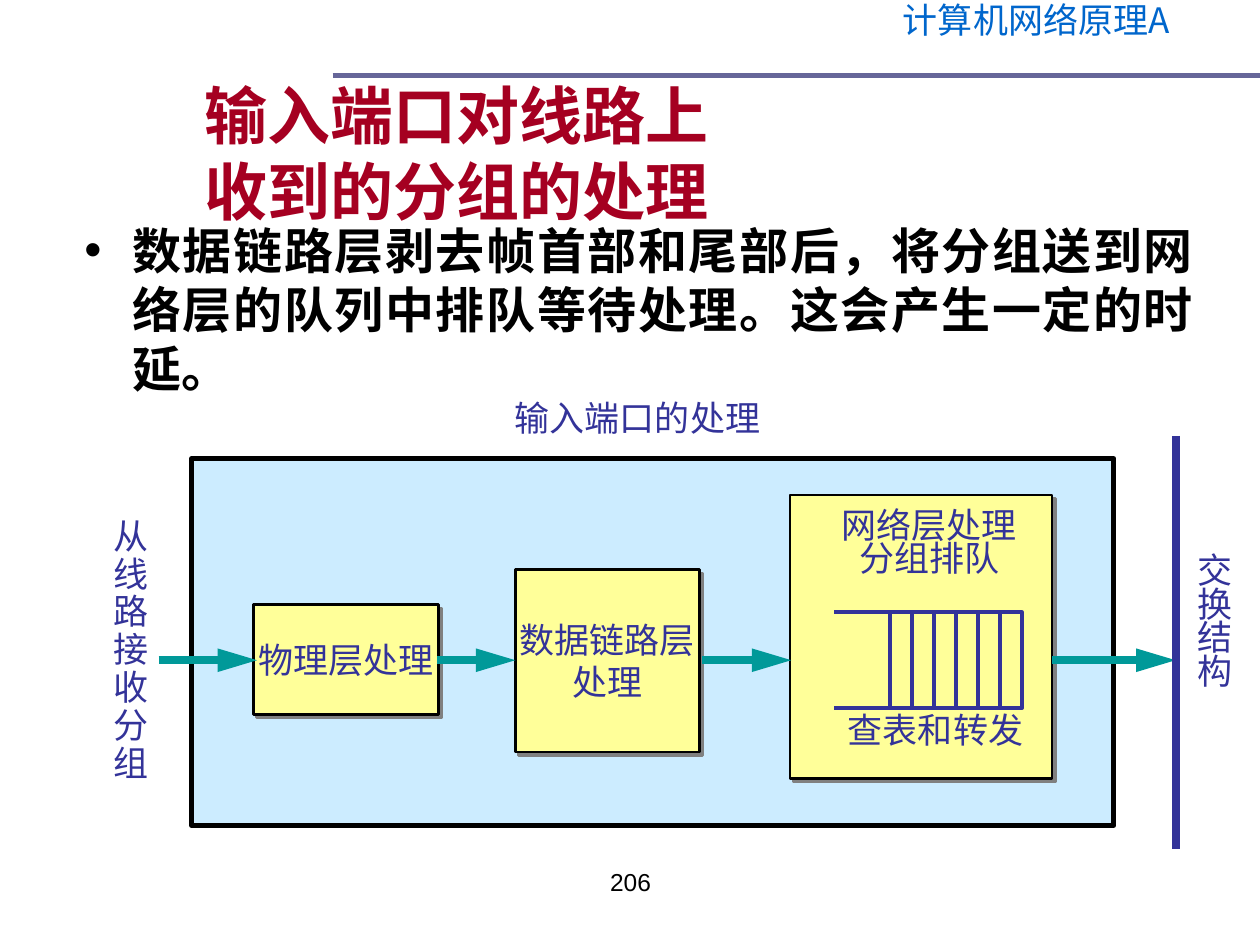
from dataclasses import dataclass

from pptx import Presentation, util as u
from pptx.dml.color import RGBColor
from pptx.enum import shapes, text
from pptx.oxml import parse_xml
from pptx.oxml.ns import nsdecls, qn

ALIGN = text.PP_ALIGN
ANCHOR = text.MSO_ANCHOR


@dataclass(frozen=True)
class Theme:
    font: str = "Arial"
    header_font: str = "Noto Sans CJK SC"
    header: str = "0066CC"
    rule: str = "666699"
    title: str = "A50021"
    ink: str = "000000"
    label: str = "333399"
    arrow: str = "009999"
    panel: str = "CCECFF"
    box: str = "FFFF99"
    shadow: str = "808080"
    title_size: int = 36
    body_size: int = 28
    label_size: int = 20
    number_size: int = 14


T = Theme()
AXIS = 5.24  # height at which packets flow through the port


def rgb(value):
    return RGBColor.from_string(value)


def inches(*values):
    return [u.Inches(v) for v in values]


def format_text(tf, size, color, align, spacing=None, bold=False, font=T.font):
    for p in tf.paragraphs:
        p.alignment = align
        p.space_before = u.Pt(0)
        if spacing:
            p.line_spacing = spacing
        for r in p.runs:
            r.font.name, r.font.size, r.font.bold = font, u.Pt(size), bold
            r.font.color.rgb = rgb(color)


def add_label(s, at, words, size=T.label_size, color=T.label,
              align=ALIGN.CENTER, spacing=0.8, font=T.font):
    tf = s.shapes.add_textbox(*inches(*at)).text_frame
    tf.word_wrap = False
    tf.text = words
    format_text(tf, size, color, align, spacing, font=font)


def add_line(s, start, end, color, width, arrow=False):
    cx = s.shapes.add_connector(
        shapes.MSO_CONNECTOR.STRAIGHT, *inches(*start, *end))
    cx.line.color.rgb = rgb(color)
    cx.line.width = u.Pt(width)
    if arrow:
        cx.line._get_or_add_ln().append(parse_xml(
            f'<a:tailEnd {nsdecls("a")} type="triangle" w="med" len="lg"/>'))
    cx._element.spPr.append(parse_xml(f'<a:effectLst {nsdecls("a")}/>'))


def add_box(s, at, fill, width, words="", shadow=True):
    sp = s.shapes.add_shape(shapes.MSO_SHAPE.RECTANGLE, *inches(*at))
    sp.shadow.inherit = False
    sp.fill.solid()
    sp.fill.fore_color.rgb = rgb(fill)
    sp.line.color.rgb = rgb(T.ink)
    sp.line.width = u.Pt(width)
    if shadow:
        sp._element.spPr.find(qn("a:effectLst")).append(parse_xml(
            f'<a:outerShdw {nsdecls("a")} blurRad="0" dist="{u.Pt(2.8)}" '
            f'dir="2700000" algn="ctr" rotWithShape="0">'
            f'<a:srgbClr val="{T.shadow}"/></a:outerShdw>'))
    if words:
        tf = sp.text_frame
        tf.word_wrap = False
        tf.vertical_anchor = ANCHOR.MIDDLE
        tf.text = words
        format_text(tf, T.label_size, T.label, ALIGN.CENTER)


def fill_placeholder(ph, at, words, size, color, align, anchor):
    ph.left, ph.top, ph.width, ph.height = inches(*at)
    tf = ph.text_frame
    tf.auto_size = text.MSO_AUTO_SIZE.NONE
    tf.word_wrap = True
    tf.vertical_anchor = anchor
    tf.text = words
    format_text(tf, size, color, align, bold=True)
    return tf


def add_bullet(p, indent):
    pPr = p._p.get_or_add_pPr()
    pPr.set("marL", str(u.Inches(indent)))
    pPr.set("indent", str(-u.Inches(indent)))
    pPr.append(parse_xml(f'<a:buFont {nsdecls("a")} typeface="{T.font}"/>'))
    pPr.append(parse_xml(f'<a:buChar {nsdecls("a")} char="•"/>'))


def add_queue(s, left, top, right, bottom, slots=6, gap=0.175):
    # Frame open on the left, where packets enter
    fb = s.shapes.build_freeform(*inches(left, top))
    fb.add_line_segments(
        [inches(right, top), inches(right, bottom), inches(left, bottom)],
        close=False)
    sp = fb.convert_to_shape()
    sp.shadow.inherit = False
    sp.fill.solid()
    sp.fill.fore_color.rgb = rgb(T.box)
    sp.line.color.rgb = rgb(T.label)
    sp.line.width = u.Pt(2.25)
    # Dividers between queued packets
    for i in range(1, slots + 1):
        x = right - i * gap
        add_line(s, (x, top), (x, bottom), T.label, 2.25)


def main():
    prs = Presentation()
    prs.slide_width, prs.slide_height = inches(10, 7.5)
    s = prs.slides.add_slide(prs.slide_layouts[1])

    # Header, title, body and page number
    add_label(s, (6.73, 0, 2.99, 0.44), "计算机网络原理A",
              color=T.header, font=T.header_font)
    add_line(s, (2.64, 0.6), (10, 0.6), T.rule, 3)
    fill_placeholder(s.shapes.title, (1.52, 0.68, 7.5, 1.18),
                     "输入端口对线路上\v收到的分组的处理",
                     T.title_size, T.title, ALIGN.LEFT, ANCHOR.BOTTOM)
    body = fill_placeholder(
        s.placeholders[1], (0.57, 1.7, 9, 1.66),
        "数据链路层剥去帧首部和尾部后，将分组送到网络层的队列中排队等待处理。"
        "这会产生一定的时延。",
        T.body_size, T.ink, ALIGN.JUSTIFY, ANCHOR.TOP)
    add_bullet(body.paragraphs[0], 0.38)
    add_label(s, (3.42, 6.83, 3.17, 0.52), "206",
              T.number_size, T.ink, spacing=1)

    # Input port and its three processing stages
    add_box(s, (1.52, 3.64, 7.32, 2.91), T.panel, 3, shadow=False)
    for at, words in (
        ((2.01, 4.8, 1.47, 0.87), "物理层处理"),
        ((4.09, 4.52, 1.46, 1.45), "数据链路层\n处理"),
        ((6.27, 3.93, 2.08, 2.25), ""),
    ):
        add_box(s, at, T.box, 1.5, words)

    # Packet flow into the switching fabric
    for x1, x2 in ((1.26, 2.04), (3.47, 4.09), (5.57, 6.28), (8.35, 9.33)):
        add_line(s, (x1, AXIS), (x2, AXIS), T.arrow, 4.5, arrow=True)
    add_line(s, (9.33, 3.46), (9.33, 6.74), T.label, 4.5)
    add_queue(s, 6.62, 4.86, 8.11, 5.62)

    # Labels
    add_label(s, (6.58, 4.01, 1.59, 0.77), "网络层处理\n分组排队")
    add_label(s, (6.63, 5.64, 1.59, 0.43), "查表和转发")
    add_label(s, (3.91, 3.16, 2.3, 0.43), "输入端口的处理")
    add_label(s, (9.4, 4.37, 0.48, 1.43), "\n".join("交换结构"))
    add_label(s, (0.8, 4.07, 0.48, 2.2), "\n".join("从线路接收分组"),
              spacing=0.9)

    prs.save("out.pptx")


if __name__ == "__main__":
    main()
